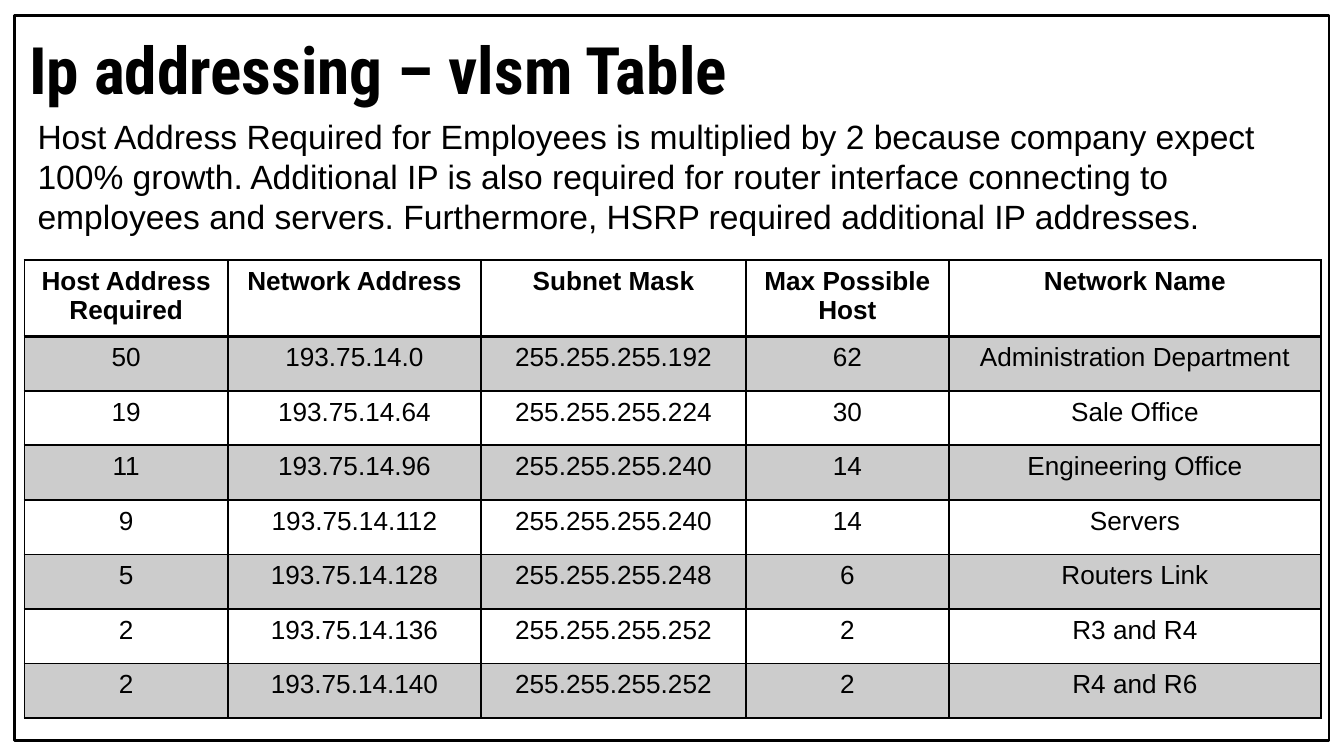
from lxml import etree
from pptx import Presentation
from pptx.dml.color import RGBColor
from pptx.enum.shapes import MSO_SHAPE
from pptx.enum.text import MSO_ANCHOR, PP_ALIGN
from pptx.oxml.ns import qn
from pptx.util import Cm, Pt

RECTANGLE = MSO_SHAPE.RECTANGLE
TOP = MSO_ANCHOR.TOP
LEFT, CENTER = PP_ALIGN.LEFT, PP_ALIGN.CENTER
BLACK = RGBColor(0x00, 0x00, 0x00)
BAND_ALPHA = 20  # percent

# Content
TITLE = "Ip addressing – vlsm Table"
INTRO = (
    "Host Address Required for Employees is multiplied by 2 because company "
    "expect 100% growth. Additional IP is also required for router interface "
    "connecting to employees and servers. Furthermore, HSRP required "
    "additional IP addresses."
)
HEADERS = ("Host Address Required", "Network Address", "Subnet Mask",
           "Max Possible Host", "Network Name")
SUBNETS = [
    ("50", "193.75.14.0", "255.255.255.192", "62", "Administration Department"),
    ("19", "193.75.14.64", "255.255.255.224", "30", "Sale Office"),
    ("11", "193.75.14.96", "255.255.255.240", "14", "Engineering Office"),
    ("9", "193.75.14.112", "255.255.255.240", "14", "Servers"),
    ("5", "193.75.14.128", "255.255.255.248", "6", "Routers Link"),
    ("2", "193.75.14.136", "255.255.255.252", "2", "R3 and R4"),
    ("2", "193.75.14.140", "255.255.255.252", "2", "R4 and R6"),
]

# Layout, in centimetres
COLUMN_WIDTHS = (3.85, 4.78, 5.01, 3.83, 7.04)
HEADER_HEIGHT, ROW_HEIGHT = 1.35, 1.03
CONTENT_LEFT, CONTENT_WIDTH = 0.46, sum(COLUMN_WIDTHS)

# Text formats
TITLE_FONT = {"name": "Roboto Condensed", "size": Pt(35), "bold": True}
INTRO_FONT = {"name": "Arial", "size": Pt(18), "bold": False}
HEADER_FONT = {"name": "Arial", "size": Pt(14), "bold": True}
CELL_FONT = {"name": "Arial", "size": Pt(14), "bold": False}


def write(frame, text, font, align=LEFT):
    para = frame.paragraphs[0]
    para.alignment = align
    span = para.add_run()
    span.text = text
    for key, value in font.items():
        setattr(span.font, key, value)
    span.font.color.rgb = BLACK


def add_border(cell, side, points):
    properties = cell._tc.get_or_add_tcPr()
    line = etree.SubElement(properties, qn(f"a:ln{side}"), w=str(Pt(points)))
    fill = etree.SubElement(line, qn("a:solidFill"))
    etree.SubElement(fill, qn("a:srgbClr"), val=str(BLACK))


def shade(cell, banded):
    if not banded:
        cell.fill.background()
        return
    cell.fill.solid()
    cell.fill.fore_color.rgb = BLACK
    color = cell._tc.tcPr.find(f"{qn('a:solidFill')}/{qn('a:srgbClr')}")
    etree.SubElement(color, qn("a:alpha"), val=str(BAND_ALPHA * 1000))


def add_subnet_table(page):
    rows = [HEADERS, *SUBNETS]
    height = HEADER_HEIGHT + ROW_HEIGHT * len(SUBNETS)
    table = page.shapes.add_table(
        len(rows), len(HEADERS), Cm(CONTENT_LEFT), Cm(4.91),
        Cm(CONTENT_WIDTH), Cm(height)).table
    for column, width in zip(table.columns, COLUMN_WIDTHS):
        column.width = Cm(width)
    for r, values in enumerate(rows):
        header = r == 0
        table.rows[r].height = Cm(HEADER_HEIGHT if header else ROW_HEIGHT)
        # The rule under the header is shared by rows 0 and 1
        borders = {"L": 1, "R": 1, "T": 2 if r == 1 else 1,
                   "B": 2 if header else 1}
        for c, value in enumerate(values):
            cell = table.cell(r, c)
            write(cell.text_frame, value,
                  HEADER_FONT if header else CELL_FONT, CENTER)
            for side, points in borders.items():
                add_border(cell, side, points)
            shade(cell, banded=r % 2 == 1)


def main():
    deck = Presentation()
    deck.slide_width, deck.slide_height = Cm(25.4), Cm(14.28)
    page = deck.slides.add_slide(deck.slide_layouts[5])

    # Page frame
    frame = page.shapes.add_shape(
        RECTANGLE, Cm(0.28), Cm(0.3), Cm(24.84), Cm(13.69))
    frame.shadow.inherit = False
    frame.fill.background()
    frame.line.color.rgb = BLACK
    frame.line.width = Pt(1.5)

    # Title
    title = page.shapes.title
    title.left, title.top = Cm(0.3), Cm(0.3)
    title.width, title.height = Cm(24.79), Cm(1.75)
    box = title.text_frame
    box.vertical_anchor = TOP
    for side in ("left", "top", "right", "bottom"):
        setattr(box, f"margin_{side}", Cm(0.25))
    write(box, TITLE, TITLE_FONT)

    # Introduction
    intro = page.shapes.add_textbox(
        Cm(CONTENT_LEFT), Cm(2.06), Cm(CONTENT_WIDTH), Cm(2.57)).text_frame
    intro.word_wrap = True
    write(intro, INTRO, INTRO_FONT)

    # Subnet table
    add_subnet_table(page)
    deck.save("out.pptx")


if __name__ == "__main__":
    main()
